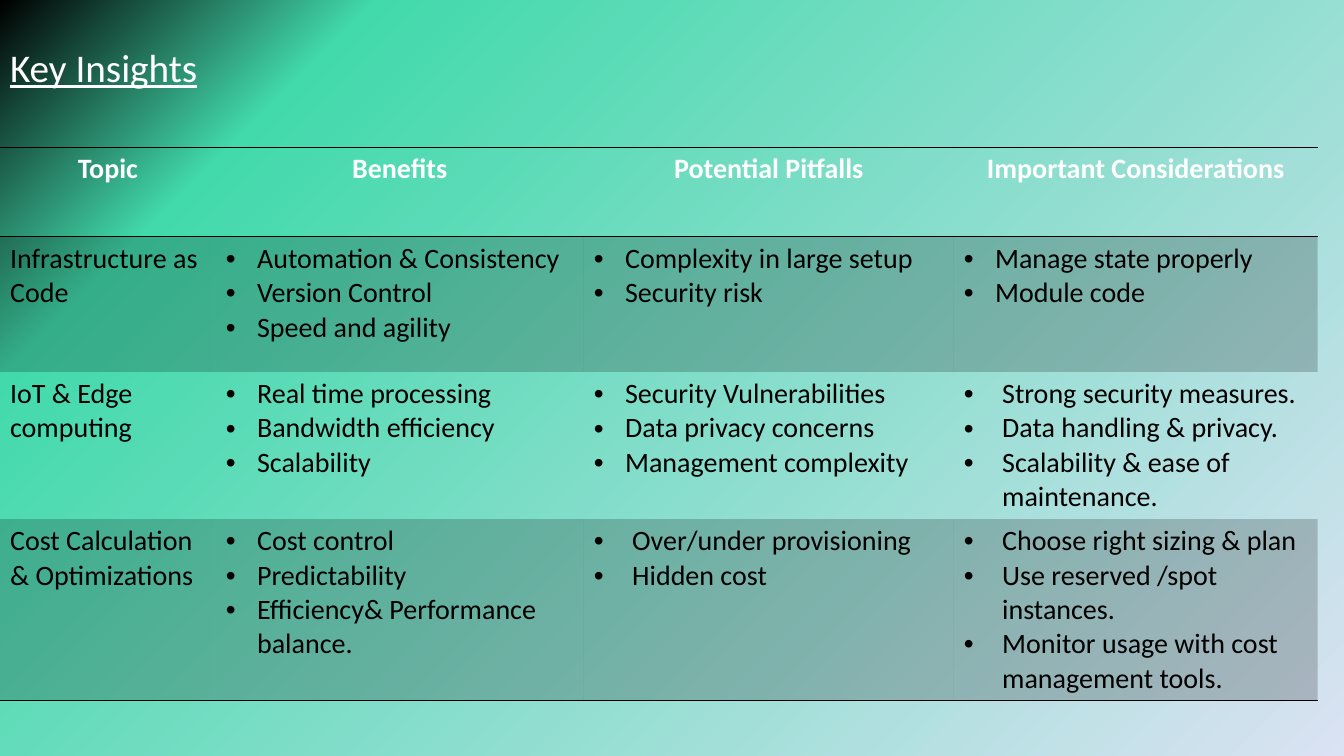
"""Build the Key Insights slide with a comparison table."""
from copy import deepcopy

from lxml import etree
from pptx import Presentation
from pptx import util as u
from pptx.dml.color import RGBColor
from pptx.enum import text
from pptx.oxml import ns

COLORS = {"black": "000000", "white": "FFFFFF", "green": "42DAAB", "lavender": "DAE2F3"}
NO_TABLE_STYLE = "{2D5ABB26-0587-4C30-8999-92F81FD0307C}"
NARROW, WIDE = 0.31, 0.38

HEADINGS = ["Topic", "Benefits", "Potential Pitfalls", "Important Considerations"]
TOPICS = [
    (["Infrastructure as Code"],
     (NARROW, ["Automation & Consistency", "Version Control", "Speed and agility"]),
     (NARROW, ["Complexity in large setup", "Security risk"]),
     (NARROW, ["Manage state properly", "Module code"])),
    (["IoT & Edge computing"],
     (NARROW, ["Real time processing", "Bandwidth efficiency", "Scalability"]),
     (NARROW, ["Security Vulnerabilities", "Data privacy concerns", "Management complexity"]),
     (WIDE, ["Strong security measures.", "Data handling & privacy.",
             "Scalability & ease of maintenance."])),
    (["Cost Calculation", "& Optimizations"],
     (NARROW, ["Cost control", "Predictability", "Efficiency& Performance balance."]),
     (WIDE, ["Over/under provisioning", "Hidden cost"]),
     (WIDE, ["Choose right sizing & plan", "Use reserved /spot instances.",
             "Monitor usage with cost management tools."])),
]


def add_xml(parent, tag, **attributes):
    """Append a child element in the drawing namespace."""
    return etree.SubElement(parent, ns.qn(tag), **attributes)


def write_text(frame, lines, size=20, color="black", bold=False, underline=False,
               align=text.PP_ALIGN.LEFT, indent=0):
    """Fill a text frame with one paragraph per line, bulleted if indented."""
    for number, line in enumerate(lines):
        paragraph = frame.add_paragraph() if number else frame.paragraphs[0]
        paragraph.alignment = align
        run = paragraph.add_run()
        run.text = line
        font = run.font
        font.name, font.size = "Calibri", u.Pt(size)
        font.bold, font.underline = bold, underline
        font.color.rgb = RGBColor.from_string(COLORS[color])
        if indent:
            properties = paragraph._p.get_or_add_pPr()
            properties.set("marL", str(u.Inches(indent)))
            properties.set("indent", str(-u.Inches(indent)))
            add_xml(properties, "a:buFont", typeface="Arial")
            add_xml(properties, "a:buChar", char="•")


class InsightSlide:
    """Hold the slide and its style."""

    def __init__(self, deck):
        """Add a title-only slide to the deck."""
        self.slide = deck.slides.add_slide(deck.slide_layouts[5])

    def background(self, stops, angle):
        """Paint the background with a linear gradient."""
        fill = self.slide.background.fill
        fill.gradient()
        fill.gradient_angle = angle
        stop_list = self.slide._element.find(".//" + ns.qn("a:gsLst"))
        while len(stop_list) < len(stops):
            stop_list.append(deepcopy(stop_list[-1]))
        for stop, (position, color) in zip(fill.gradient_stops, stops):
            stop.position = position
            stop.color.rgb = RGBColor.from_string(COLORS[color])

    def title(self, heading, left, top, width, height):
        """Place and format the title."""
        title = self.slide.shapes.title
        title.left, title.top = u.Inches(left), u.Inches(top)
        title.width, title.height = u.Inches(width), u.Inches(height)
        frame = title.text_frame
        frame.word_wrap = True
        frame.auto_size = text.MSO_AUTO_SIZE.NONE
        frame.vertical_anchor = text.MSO_ANCHOR.TOP
        write_text(frame, [heading], size=28, color="white", underline=True)

    def table(self, left, top, widths, heights):
        """Add a plain table with the given column widths and row heights."""
        grid = self.slide.shapes.add_table(
            len(heights), len(widths), u.Inches(left), u.Inches(top),
            u.Inches(sum(widths)), u.Inches(sum(heights))).table
        grid.first_row = grid.horz_banding = False
        grid._tbl.tblPr.find(ns.qn("a:tableStyleId")).text = NO_TABLE_STYLE
        for column, width in zip(grid.columns, widths):
            column.width = u.Inches(width)
        for row, height in zip(grid.rows, heights):
            row.height = u.Inches(height)
        return grid

    def cell(self, cell, lines, shaded=False, borders=(), **style):
        """Write a cell and give it its rules and shade."""
        write_text(cell.text_frame, lines, **style)
        properties = cell._tc.get_or_add_tcPr()
        for side in borders:
            rule = add_xml(properties, "a:ln" + side, w=str(u.Pt(1)))
            add_xml(add_xml(rule, "a:solidFill"), "a:srgbClr", val=COLORS["black"])
        if shaded:
            cell.fill.solid()
            cell.fill.fore_color.rgb = RGBColor.from_string(COLORS["black"])
            shade = properties.find(ns.qn("a:solidFill"))
            add_xml(shade[0], "a:alpha", val="20000")
        else:
            cell.fill.background()


def main():
    """Build and save the slide."""
    deck = Presentation()
    deck.slide_width, deck.slide_height = u.Inches(13.33), u.Inches(7.5)
    insights = InsightSlide(deck)
    insights.background([(0, "black"), (0.18, "green"), (1, "lavender")], angle=315)
    insights.title("Key Insights", 0, 0.38, 5.54, 0.57)
    grid = insights.table(0, 1.46, [2.14, 3.65, 3.67, 3.61], [0.89] + [1.34] * len(TOPICS))
    for column, heading in enumerate(HEADINGS):
        insights.cell(grid.cell(0, column), [heading], borders="TB", color="white",
                      bold=True, align=text.PP_ALIGN.CENTER)
    for row, (topic, *points) in enumerate(TOPICS, 1):
        look = {"shaded": row % 2 == 1, "borders": "B" if row == len(TOPICS) else ""}
        insights.cell(grid.cell(row, 0), topic, **look)
        for column, (indent, lines) in enumerate(points, 1):
            insights.cell(grid.cell(row, column), lines, indent=indent, **look)
    deck.save("out.pptx")


if __name__ == "__main__":
    main()
